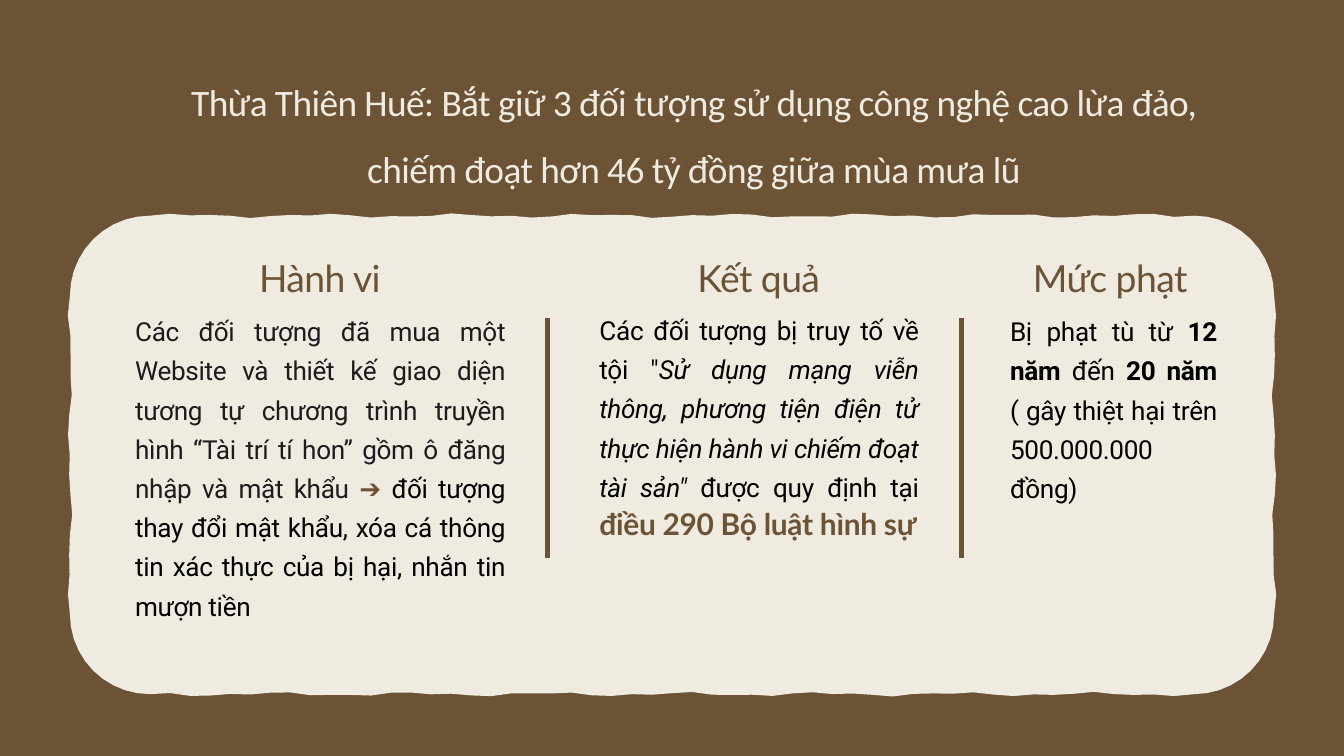
from math import cos, pi, sin

from lxml import etree
from pptx import Presentation
from pptx import util as u
from pptx.dml.color import RGBColor
from pptx.enum import shapes, text
from pptx.oxml.ns import qn

BROWN = RGBColor(0x6C, 0x53, 0x36)
CREAM = RGBColor(0xEF, 0xEB, 0xE0)
INK = RGBColor(0x1D, 0x1B, 0x1E)
BLACK = RGBColor(0, 0, 0)

LEFT, TOP, RIGHT, BOTTOM = 1.04, 3.21, 18.96, 10.33
RADIUS = 1.19
RIPPLE_STEP = 0.3
CORNER_STEPS = 10

HEADINGS = [("Hành vi", 3.47), ("Kết quả", 10), ("Mức phạt", 15.23)]
BODIES = [
    ((2.01, 4.58, 5.51, 4.65), [
        ("Các đối tượng đã mua một Website và thiết kế giao diện tương tự chương trình "
         "truyền hình “Tài trí tí hon” gồm ô đăng nhập và mật khẩu ", {"color": INK}),
        ("➔ ", {"color": BROWN}),
        ("đối tượng thay đổi mật khẩu, xóa cá thông tin xác thực của bị hại, "
         "nhắn tin mượn tiền", {}),
    ]),
    ((8.92, 4.56, 4.75, 3.52), [
        ("Các đối tượng bị truy tố về tội \"", {}),
        ("Sử dụng mạng viễn thông, phương tiện điện tử thực hiện hành vi "
         "chiếm đoạt tài sản\" ", {"italic": True}),
        ("được quy định tại ", {}),
        ("điều 290 Bộ luật hình sự",
         {"size": 32, "font": "Lato", "color": BROWN, "bold": True}),
    ]),
    ((15.03, 4.58, 3.08, 2.88), [
        ("Bị phạt tù từ ", {}),
        ("12 năm ", {"bold": True}),
        ("đến ", {}),
        ("20 năm ", {"bold": True}),
        ("( gây thiệt hại trên 500.000.000 đồng)", {}),
    ]),
]
DIVIDERS = [8.15, 14.31]


def add_span(para, words, size=28, font="Roboto", color=BLACK, bold=False,
             italic=False, spacing=-0.3):
    span = para.add_run()
    span.text = words
    span.font.size = u.Pt(size)
    span.font.name = font
    span.font.color.rgb = color
    span.font.bold = bold
    span.font.italic = italic
    span._r.get_or_add_rPr().set("spc", str(round(spacing * 100)))


def write_text(box, spans, align, leading):
    """Fill a box with one paragraph of (words, format) spans."""
    frame = box.text_frame
    frame.word_wrap = True
    frame.auto_size = text.MSO_AUTO_SIZE.SHAPE_TO_FIT_TEXT
    frame.vertical_anchor = text.MSO_ANCHOR.TOP
    frame.margin_left = frame.margin_right = frame.margin_top = frame.margin_bottom = 0
    para = frame.paragraphs[0]
    para.alignment = align
    para.line_spacing = u.Pt(leading)
    para.space_before = u.Pt(0)
    for words, style in spans:
        add_span(para, words, **style)


def add_text(page, place, spans, align=text.PP_ALIGN.JUSTIFY, leading=42):
    box = page.shapes.add_textbox(*map(u.Inches, place))
    write_text(box, spans, align, leading)


def add_heading(page, words, left):
    style = {"size": 40, "font": "Lato", "color": BROWN, "spacing": -0.6}
    add_text(page, (left, 3.47, 2.58, 0.93), [(words, style)],
             align=text.PP_ALIGN.CENTER, leading=72)


def set_title(page, words):
    title = page.shapes.title
    title.left, title.top, title.width, title.height = map(
        u.Inches, (2.25, 0.84, 16.15, 1.94))
    style = {"size": 40, "font": "Calibri", "color": CREAM, "spacing": -0.6}
    write_text(title, [(words, style)], text.PP_ALIGN.CENTER, 72)


def ripple(distance):
    return 0.02 * sin(3.1 * distance) + 0.015 * sin(7.3 * distance)


def torn_outline():
    """Points clockwise round the panel: a wavy side, then a round corner, four times."""
    corners = [(RIGHT - RADIUS, TOP + RADIUS), (RIGHT - RADIUS, BOTTOM - RADIUS),
               (LEFT + RADIUS, BOTTOM - RADIUS), (LEFT + RADIUS, TOP + RADIUS)]
    points = []
    for index, (x, y) in enumerate(corners):
        start_x, start_y = corners[index - 1]
        angle = (index - 1) * pi / 2
        out_x, out_y = cos(angle), sin(angle)
        length = abs(x - start_x) + abs(y - start_y)
        steps = round(length / RIPPLE_STEP)
        for step in range(steps):
            part = step / steps
            reach = RADIUS + ripple(part * length)
            points.append((start_x + (x - start_x) * part + reach * out_x,
                           start_y + (y - start_y) * part + reach * out_y))
        for step in range(CORNER_STEPS):
            turn = angle + step / CORNER_STEPS * pi / 2
            points.append((x + RADIUS * cos(turn), y + RADIUS * sin(turn)))
    return [(u.Inches(x), u.Inches(y)) for x, y in points]


def add_panel(page):
    start, *rest = torn_outline()
    builder = page.shapes.build_freeform(*start)
    builder.add_line_segments(rest, close=True)
    panel = builder.convert_to_shape()
    panel.shadow.inherit = False
    panel.fill.solid()
    panel.fill.fore_color.rgb = CREAM
    panel.line.fill.background()


def add_divider(page, x):
    line = page.shapes.add_connector(
        shapes.MSO_CONNECTOR.STRAIGHT,
        u.Inches(x), u.Inches(4.73), u.Inches(x), u.Inches(8.3))
    line.line.color.rgb = BROWN
    line.line.width = u.Pt(6)
    etree.SubElement(line._element.spPr, qn("a:effectLst"))


def main():
    deck = Presentation()
    deck.slide_width, deck.slide_height = u.Inches(20), u.Inches(11.25)
    page = deck.slides.add_slide(deck.slide_layouts[5])
    page.background.fill.solid()
    page.background.fill.fore_color.rgb = BROWN

    add_panel(page)
    set_title(page, "Thừa Thiên Huế: Bắt giữ 3 đối tượng sử dụng công nghệ cao lừa đảo, "
                    "chiếm đoạt hơn 46 tỷ đồng giữa mùa mưa lũ")
    for words, left in HEADINGS:
        add_heading(page, words, left)
    for place, spans in BODIES:
        add_text(page, place, spans)
    for x in DIVIDERS:
        add_divider(page, x)
    deck.save("out.pptx")


if __name__ == "__main__":
    main()
